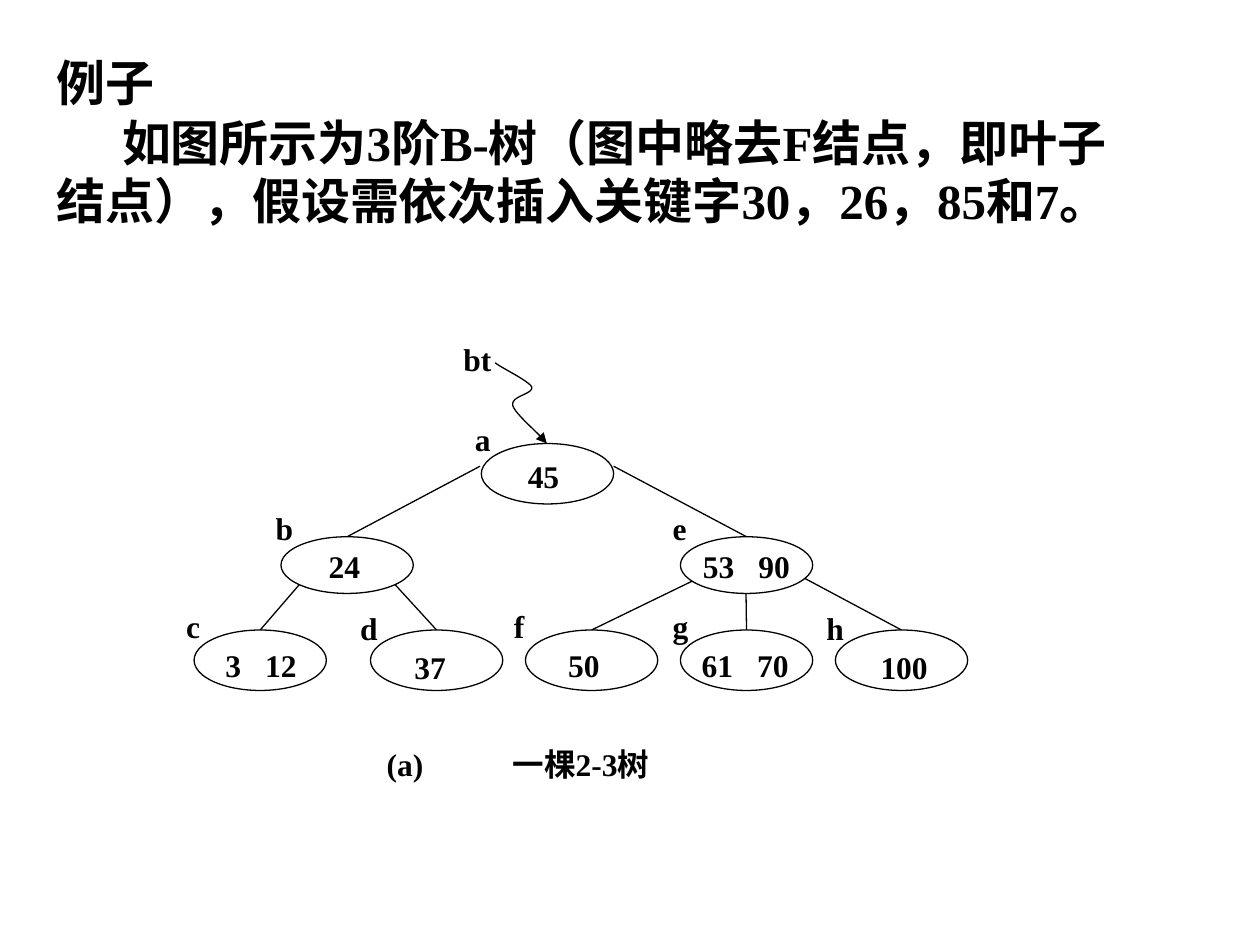
from lxml.etree import SubElement
from pptx import Presentation
from pptx.dml.color import RGBColor
from pptx.enum.shapes import MSO_CONNECTOR, MSO_SHAPE
from pptx.enum.text import MSO_ANCHOR, MSO_AUTO_SIZE, PP_ALIGN
from pptx.oxml.ns import qn
from pptx.util import Inches, Pt

BLACK = RGBColor(0, 0, 0)
WHITE = RGBColor(255, 255, 255)
FONT = "Times New Roman"

TITLE = "例子"
BODY = "如图所示为3阶B-树（图中略去F结点，即叶子结点），假设需依次插入关键字30，26，85和7。"
CAPTION = "(a)\t一棵2-3树"

NODE_WIDTH = 1.05
LEVELS = [(3.52, 0.48), (4.26, 0.45), (5, 0.48)]
NODES = {
    "a": (0, 3.82, ["45"], (3.67, 3.28), (4.09, 3.58, 0.51)),
    "b": (1, 2.23, ["24"], (2.09, 3.99), (2.51, 4.29, 0.51)),
    "e": (1, 5.4, ["53", "90"], (5.24, 3.99), (5.48, 4.29, 0.95)),
    "c": (2, 1.54, ["3", "12"], (1.38, 4.77), (1.69, 5.08, 0.82)),
    "d": (2, 2.94, ["37"], (2.76, 4.78), (3.19, 5.09, 0.51)),
    "f": (2, 4.17, ["50"], (3.98, 4.77), (4.41, 5.08, 0.51)),
    "g": (2, 5.4, ["61", "70"], (5.24, 4.77), (5.47, 5.08, 0.95)),
    "h": (2, 6.63, ["100"], (6.46, 4.78), (6.89, 5.09, 0.64)),
}
LINKS = [
    ("b", (3.81, 3.7)), ("e", (4.87, 3.7)),
    ("c", (2.41, 4.6)), ("d", (3.09, 4.59)),
    ("f", (5.56, 4.58)), ("g", (5.92, 4.63)), ("h", (6.33, 4.56)),
]
POINTER_START = (3.93, 2.88)
POINTER_CURVES = [
    [(3.98, 2.92), (4.19, 3.02), (4.22, 3.07)],
    [(4.24, 3.13), (4.05, 3.14), (4.07, 3.22)],
    [(4.09, 3.29), (4.29, 3.45), (4.34, 3.52)],
]
CURVE_STEPS = 12
DIGIT_WIDTH = 0.125
KEY_GAP = 0.19


def write_text(slide, text, left, top, width, height=0.4, *, shape=None,
               size=18, tab=None, indent=None, anchor=MSO_ANCHOR.MIDDLE):
    if shape is None:
        shape = slide.shapes.add_textbox(0, 0, 0, 0)
    shape.left, shape.top = Inches(left), Inches(top)
    shape.width, shape.height = Inches(width), Inches(height)
    frame = shape.text_frame
    frame.auto_size = MSO_AUTO_SIZE.NONE
    frame.word_wrap = True
    frame.vertical_anchor = anchor
    paragraph = frame.paragraphs[0]
    paragraph.text = text
    paragraph.alignment = PP_ALIGN.LEFT
    properties = paragraph._p.get_or_add_pPr()
    if indent is not None:
        properties.set("indent", str(Inches(indent)))
    if tab is not None:
        stops = SubElement(properties, qn("a:tabLst"))
        SubElement(stops, qn("a:tab"), pos=str(Inches(tab)), algn="l")
    for run in paragraph.runs:
        run.font.name = FONT
        run.font.size = Pt(size)
        run.font.bold = True
        run.font.color.rgb = BLACK


def style_line(shape):
    shape.line.color.rgb = BLACK
    shape.line.width = Pt(0.75)


def to_lengths(values):
    return tuple(Inches(value) for value in values)


def add_link(slide, child, start):
    level, left = NODES[child][:2]
    end = (left + NODE_WIDTH / 2, LEVELS[level][0])
    link = slide.shapes.add_connector(MSO_CONNECTOR.STRAIGHT, *to_lengths(start + end))
    style_line(link)
    SubElement(link._element.spPr, qn("a:effectLst"))


def add_node(slide, level, left):
    top, height = LEVELS[level]
    node = slide.shapes.add_shape(
        MSO_SHAPE.OVAL, *to_lengths((left, top, NODE_WIDTH, height)))
    node.shadow.inherit = False
    node.fill.solid()
    node.fill.fore_color.rgb = WHITE
    style_line(node)


def curve_points(start, curves):
    for first, second, end in curves:
        for step in range(1, CURVE_STEPS + 1):
            t = step / CURVE_STEPS
            yield to_lengths(
                (1 - t) ** 3 * p + 3 * (1 - t) ** 2 * t * q
                + 3 * (1 - t) * t ** 2 * r + t ** 3 * s
                for p, q, r, s in zip(start, first, second, end))
        start = end


def add_pointer(slide):
    builder = slide.shapes.build_freeform(*to_lengths(POINTER_START))
    builder.add_line_segments(curve_points(POINTER_START, POINTER_CURVES), close=False)
    pointer = builder.convert_to_shape()
    pointer.shadow.inherit = False
    pointer.fill.background()
    style_line(pointer)
    SubElement(pointer.line._get_or_add_ln(), qn("a:tailEnd"), type="triangle")


def main():
    presentation = Presentation()
    presentation.slide_width, presentation.slide_height = Inches(10), Inches(7.5)
    slide = presentation.slides.add_slide(presentation.slide_layouts[5])
    write_text(slide, TITLE, 0.35, 0.37, 8.78, 0.57, shape=slide.shapes.title,
               size=28, anchor=MSO_ANCHOR.TOP)
    write_text(slide, BODY, 0.35, 0.84, 8.78, 1.5, size=28, indent=0.52,
               anchor=MSO_ANCHOR.TOP)
    write_text(slide, CAPTION, 2.97, 5.86, 2.46, tab=1)

    for child, start in LINKS:
        add_link(slide, child, start)
    for level, left, *_ in NODES.values():
        add_node(slide, level, left)
    add_pointer(slide)

    write_text(slide, "bt", 3.58, 2.65, 0.48)
    for name, (_, _, keys, label_at, keys_at) in NODES.items():
        write_text(slide, name, *label_at, 0.4)
        tab = len(keys[0]) * DIGIT_WIDTH + KEY_GAP if len(keys) > 1 else None
        write_text(slide, "\t".join(keys), *keys_at, tab=tab)

    presentation.save("out.pptx")


if __name__ == "__main__":
    main()
